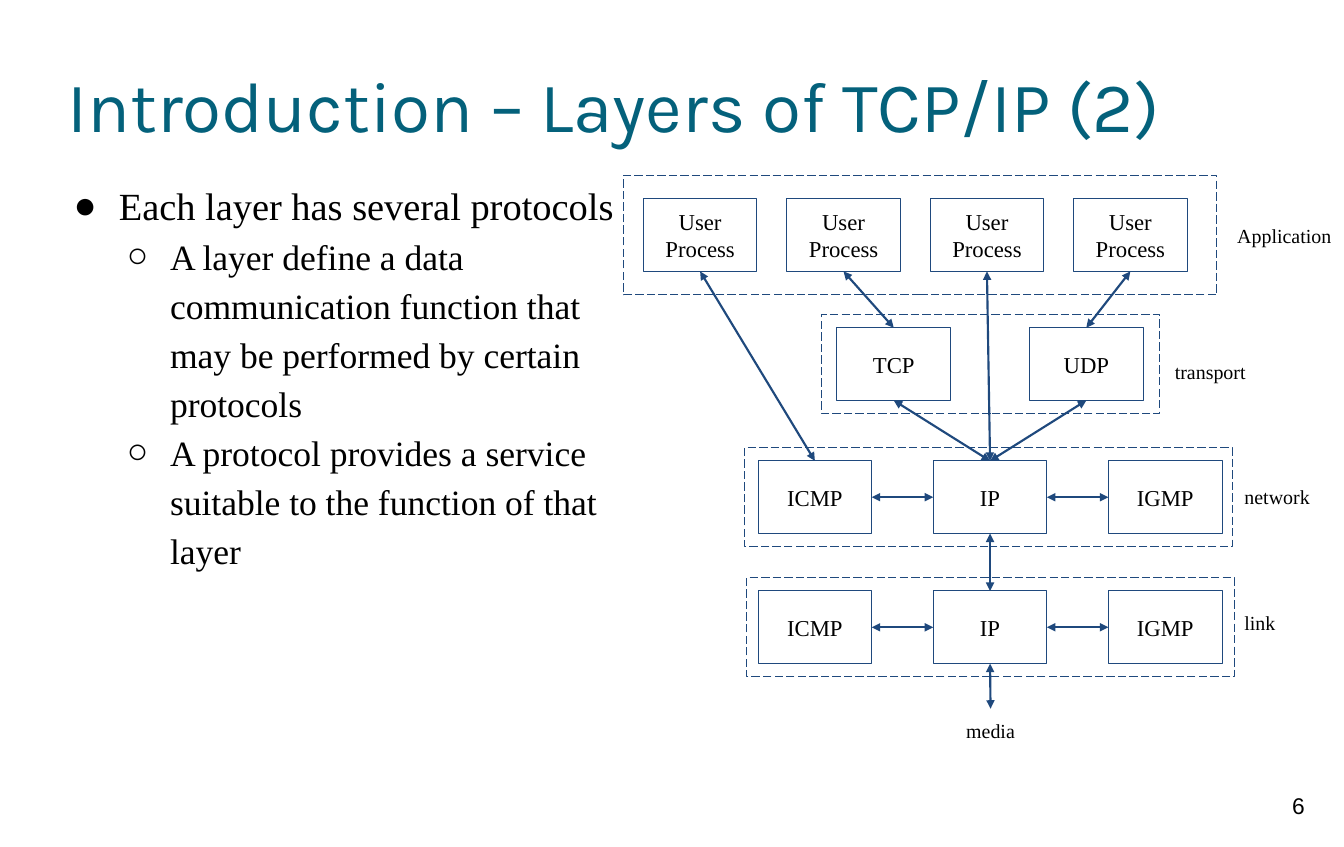
from lxml import etree
from pptx import Presentation
from pptx.dml.color import RGBColor
from pptx.enum import dml, shapes, text
from pptx.oxml.ns import qn
from pptx.util import Inches, Pt

SERIF = "Times New Roman"
BLACK, NAVY, TEAL = "000000", "1F497D", "04617B"
LEFT, MID = text.PP_ALIGN.LEFT, text.PP_ALIGN.CENTER
TOP, WEST, BASE, EAST = range(4)  # connection sites of a rectangle
NODE_W, NODE_H = 1.11, 0.71

# layer label, label place, frame box, first node place, node step, node names
LAYERS = [
    ("Application", (5.89, 0.37), (0, 0, 5.79, 1.17), (0.19, 0.23), 1.4,
     ["User\nProcess"] * 4),
    ("transport", (5.28, 1.7), (1.93, 1.36, 3.3, 0.97), (2.08, 1.49), 1.88,
     ["TCP", "UDP"]),
    ("network", (5.96, 2.92), (1.18, 2.66, 4.76, 0.97), (1.31, 2.79), 1.71,
     ["ICMP", "IP", "IGMP"]),
    ("link", (5.96, 4.15), (1.2, 3.93, 4.76, 0.97), (1.31, 4.06), 1.71,
     ["ICMP", "IP", "IGMP"]),
]
POINTS = [
    (0, "Each layer has several protocols"),
    (1, "A layer define a data communication function that may be "
        "performed by certain protocols"),
    (1, "A protocol provides a service suitable to the function of that layer"),
]
# text size, bullet, left indent, hanging indent for each level
LEVELS = [(27, "●", 0.5, -0.44), (25, "○", 1, -0.42)]


def color(code):
    return RGBColor.from_string(code)


def inches(box):
    return [Inches(n) for n in box]


def write(para, words, size, font=SERIF, code=BLACK):
    for i, line in enumerate(words.split("\n")):
        if i:
            para.add_line_break()
        run = para.add_run()
        run.text = line
        run.font.size, run.font.name = Pt(size), font
        run.font.color.rgb = color(code)


def setup(frame, inset, anchor):
    frame.word_wrap = True
    frame.auto_size = text.MSO_AUTO_SIZE.NONE
    frame.vertical_anchor = anchor
    frame.margin_left = frame.margin_right = Inches(inset)
    frame.margin_top = frame.margin_bottom = Inches(inset)


def label(slide, box, words, size=14, font=SERIF, align=LEFT):
    area = slide.shapes.add_textbox(*inches(box))
    setup(area.text_frame, 0.1, text.MSO_ANCHOR.TOP)
    para = area.text_frame.paragraphs[0]
    para.alignment = align
    write(para, words, size, font)
    return area


def rect(slide, box):
    shape = slide.shapes.add_shape(shapes.MSO_SHAPE.RECTANGLE, *inches(box))
    shape.shadow.inherit = False
    shape.fill.background()
    shape.line.color.rgb = color(NAVY)
    shape.line.width = Pt(0.75)
    return shape


def node(slide, box, words):
    shape = rect(slide, box)
    setup(shape.text_frame, 0.1, text.MSO_ANCHOR.MIDDLE)
    para = shape.text_frame.paragraphs[0]
    para.alignment = MID
    write(para, words, 16)
    return shape


def arrow(slide, start, out, end, into):
    link = slide.shapes.add_connector(shapes.MSO_CONNECTOR.STRAIGHT, 0, 0, 0, 0)
    link.begin_connect(start, out)
    link.end_connect(end, into)
    link.line.color.rgb = color(NAVY)
    link.line.width = Pt(1.5)
    stroke = link.line._get_or_add_ln()
    for tip in ("a:headEnd", "a:tailEnd"):
        etree.SubElement(stroke, qn(tip), type="triangle")
    etree.SubElement(link._element.spPr, qn("a:effectLst"))


def heading(slide, box, words):
    title = slide.shapes.title
    title.left, title.top, title.width, title.height = inches(box)
    setup(title.text_frame, 0, text.MSO_ANCHOR.MIDDLE)
    para = title.text_frame.paragraphs[0]
    para.alignment = LEFT
    write(para, words, 50, "Karla", TEAL)


def bullets(slide, box):
    frame = slide.shapes.add_textbox(*inches(box)).text_frame
    setup(frame, 0, text.MSO_ANCHOR.TOP)
    for i, (level, words) in enumerate(POINTS):
        para = frame.add_paragraph() if i else frame.paragraphs[0]
        size, sign, indent, hang = LEVELS[level]
        para.level, para.line_spacing = level, 1.15
        props = para._p.get_or_add_pPr()
        props.set("marL", str(Inches(indent)))
        props.set("indent", str(Inches(hang)))
        tint = etree.SubElement(props, qn("a:buClr"))
        etree.SubElement(tint, qn("a:srgbClr"), val=BLACK)
        etree.SubElement(props, qn("a:buFont"), typeface=SERIF)
        etree.SubElement(props, qn("a:buChar"), char=sign)
        write(para, words, size)


def stack(slide, left, top):
    # Dashed layer frames lie behind everything else
    for _, _, (x, y, wide, high), _, _, _ in LAYERS:
        frame = rect(slide, (left + x, top + y, wide, high))
        frame.line.dash_style = dml.MSO_LINE.LONG_DASH

    # Protocol nodes and layer labels
    rows = []
    for name, (lx, ly), _, (x, y), step, names in LAYERS:
        rows.append([
            node(slide, (left + x + i * step, top + y, NODE_W, NODE_H), words)
            for i, words in enumerate(names)])
        label(slide, (left + lx, top + ly, 1.14, 0.44), name)
    media = label(slide, (left + 3.01, top + 5.21, 1.14, 0.44), "media",
                  align=MID)

    # Arrows between layers
    users, (tcp, udp), (icmp, ip, _), (_, base, _) = rows
    for upper, lower in [(users[0], icmp), (users[1], tcp), (users[2], ip),
                         (users[3], udp), (tcp, ip), (udp, ip),
                         (ip, base), (base, media)]:
        arrow(slide, upper, BASE, lower, TOP)

    # Arrows within the network and link layers
    for row in rows[2:]:
        for near, far in zip(row, row[1:]):
            arrow(slide, near, EAST, far, WEST)


def main():
    deck = Presentation()
    deck.slide_width, deck.slide_height = inches((13.12, 8.27))
    slide = deck.slides.add_slide(deck.slide_layouts[5])
    heading(slide, (0.66, 0.33, 11.81, 1.38),
            "Introduction – Layers of TCP/IP (2)")
    bullets(slide, (0.66, 1.71, 5.65, 6.19))
    stack(slide, 6.09, 1.71)
    # Slide number
    label(slide, (12.28, 7.63, 0.79, 0.63), "6", 16, "Arial", MID)
    deck.save("out.pptx")


if __name__ == "__main__":
    main()
